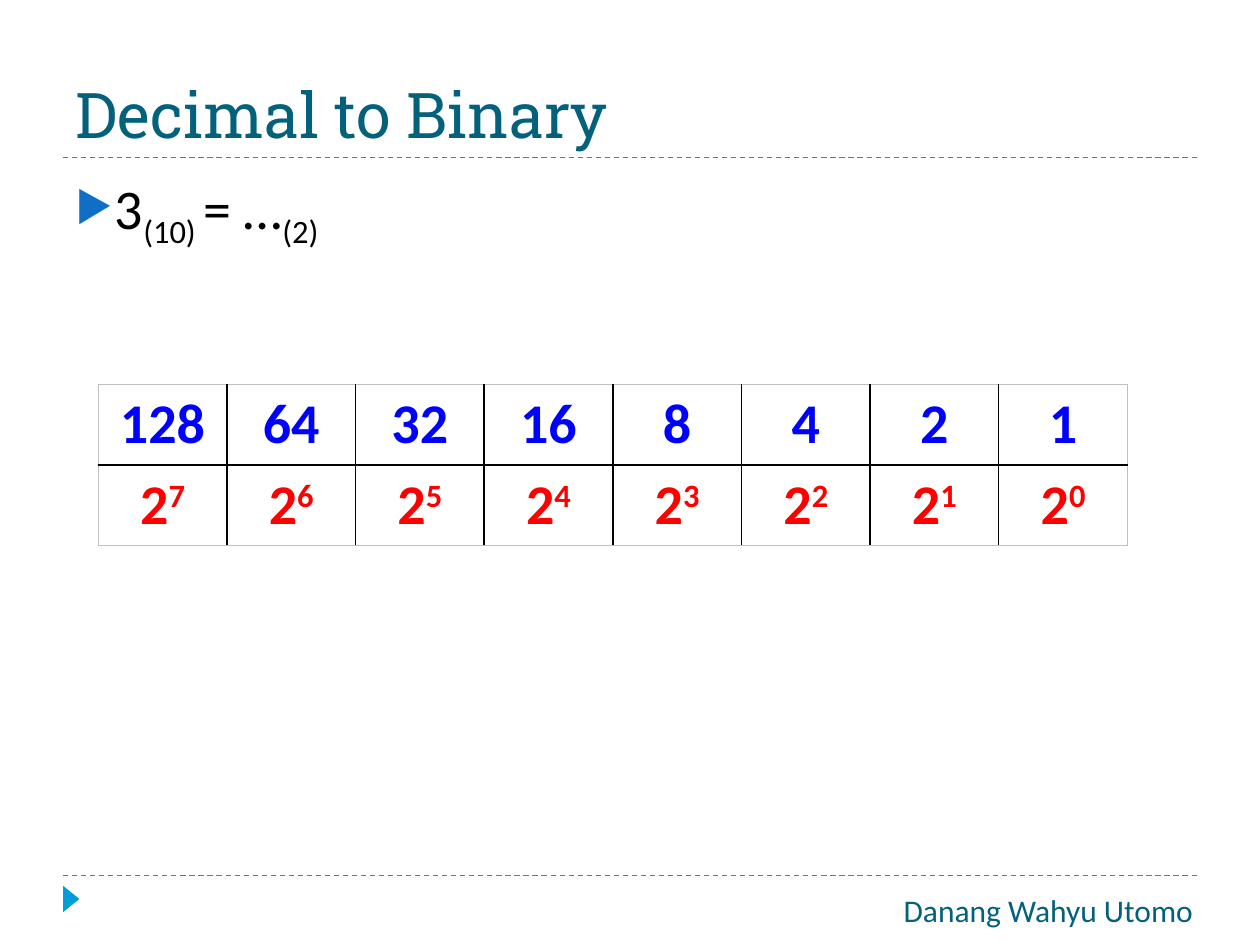
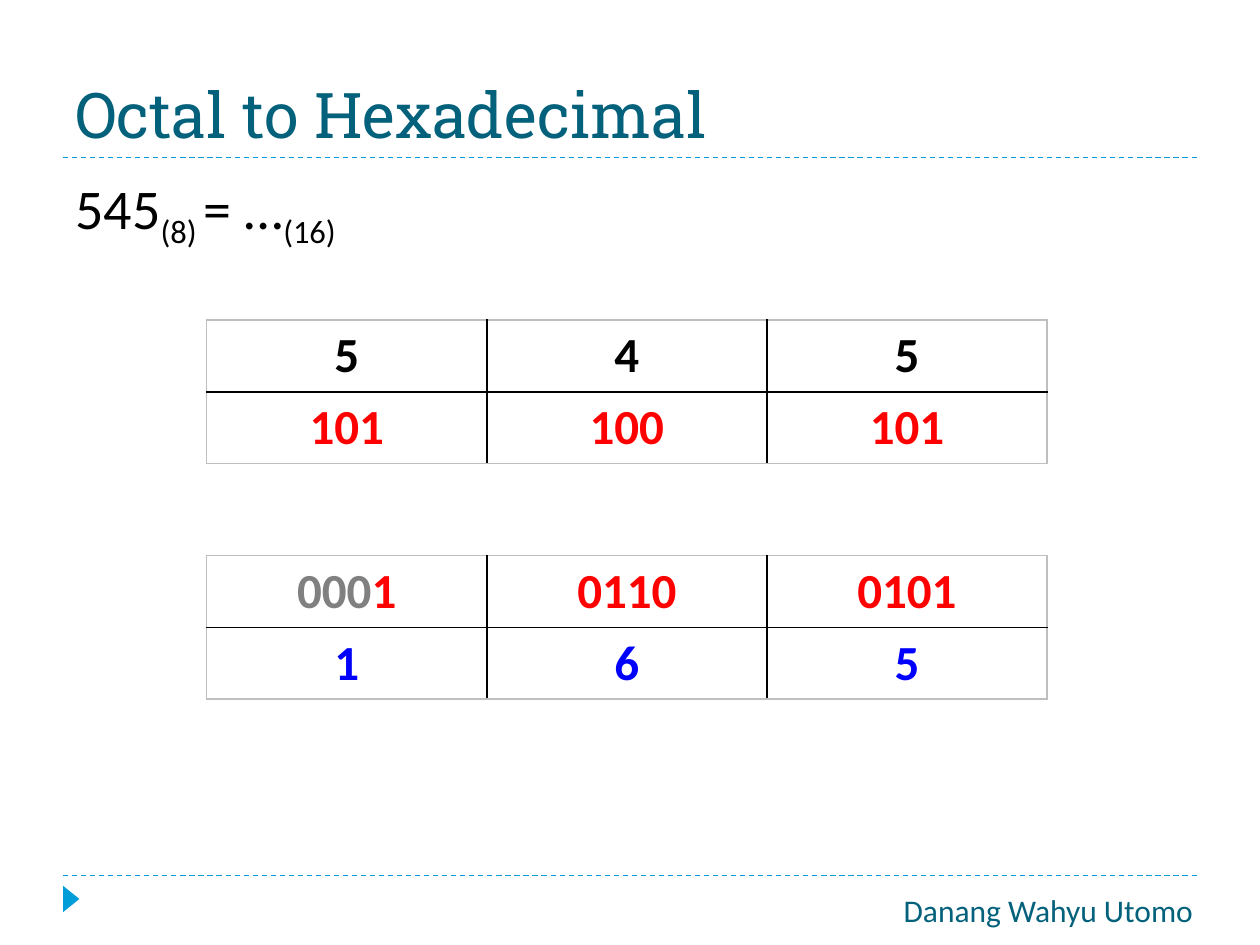
import pptx
import pptx.util
import pptx.dml.color
import pptx.enum.dml
import pptx.enum.shapes
import pptx.enum.text
import pptx.oxml.ns
from lxml import etree

Inches = pptx.util.Inches
Pt = pptx.util.Pt
ALIGN = pptx.enum.text.PP_ALIGN
ANCHOR = pptx.enum.text.MSO_ANCHOR
SHAPE = pptx.enum.shapes.MSO_SHAPE

COLORS = {
    "title": "04617B", "accent": "009DD9", "bullet": "0F6FC6",
    "black": "000000", "blue": "0000FF", "red": "FF0000",
    "gray": "808080", "edge": "BFBFBF", "white": "FFFFFF",
}
BODY, HEAD = "Calibri", "Roboto Slab"
SUB, SUP = -25, 30


def rgb(name):
    return pptx.dml.color.RGBColor.from_string(COLORS[name])


def node(parent, tag, **attrs):
    item = etree.SubElement(parent, pptx.oxml.ns.qn("a:" + tag))
    for key, value in attrs.items():
        item.set(key, str(value))
    return item


class Deck:
    def __init__(self):
        self.prs = pptx.Presentation()
        self.prs.slide_width = Inches(10)
        self.prs.slide_height = Inches(7.5)
        self.slide = None

    # Slide frame: rules, marker, author and title
    def page(self, title):
        self.slide = self.prs.slides.add_slide(self.prs.slide_layouts[6])
        for y in (6.95, 1.25):
            self.rule(y)
        self.marker()
        self.text(6.72, 7.02, 3.2, 0.4, [("Danang Wahyu Utomo", "title")],
                  18, align=ALIGN.CENTER)
        self.text(0.5, 0.17, 9, 1.08, [(title, "title")], 36, font=HEAD,
                  anchor=ANCHOR.BOTTOM)

    def rule(self, y):
        line = self.slide.shapes.add_connector(
            pptx.enum.shapes.MSO_CONNECTOR.STRAIGHT,
            Inches(0.5), Inches(y), Inches(9.5), Inches(y))
        line.line.color.rgb = rgb("accent")
        line.line.width = Pt(0.75)
        line.line.dash_style = pptx.enum.dml.MSO_LINE.DASH
        node(line._element.spPr, "effectLst")

    def marker(self):
        mark = self.slide.shapes.add_shape(
            SHAPE.ISOSCELES_TRIANGLE,
            Inches(0.46), Inches(7.07), Inches(0.21), Inches(0.13))
        mark.rotation = 90
        mark.shadow.inherit = False
        mark.fill.solid()
        mark.fill.fore_color.rgb = rgb("accent")
        mark.line.fill.background()

    # Runs are (text, color) or (text, color, baseline)
    def runs(self, para, parts, size, font=BODY, bold=False):
        for words, color, *shift in parts:
            run = para.add_run()
            run.text = words
            run.font.name = font
            run.font.size = Pt(size)
            run.font.bold = bold
            run.font.color.rgb = rgb(color)
            if shift:
                run._r.get_or_add_rPr().set("baseline", str(shift[0] * 1000))

    def text(self, x, y, w, h, parts, size, font=BODY, align=ALIGN.LEFT,
             anchor=ANCHOR.TOP):
        box = self.slide.shapes.add_textbox(
            Inches(x), Inches(y), Inches(w), Inches(h))
        frame = box.text_frame
        frame.word_wrap = True
        frame.vertical_anchor = anchor
        para = frame.paragraphs[0]
        para.alignment = align
        self.runs(para, parts, size, font)
        return para

    # Conversion question, such as 3(10) = …(2)
    def task(self, value, base, goal, bullet=False):
        parts = [(value, "black"), (f"({base}) ", "black", SUB),
                 ("= …", "black"), (f"({goal})", "black", SUB)]
        para = self.text(0.5, 1.33, 9, 5.4, parts, 32)
        props = para._p.get_or_add_pPr()
        props.set("marL", str(Inches(0.3)))
        props.set("indent", str(Inches(-0.3)))
        if bullet:
            tint = node(props, "buClr")
            node(tint, "srgbClr", val=COLORS["bullet"])
            node(props, "buSzPct", val=76000)
            node(props, "buChar", char="▶")
        else:
            node(props, "buNone")

    # Grid of cells, each a list of runs
    def table(self, x, y, w, h, rows, size):
        high, wide = len(rows), len(rows[0])
        grid = self.slide.shapes.add_table(
            high, wide, Inches(x), Inches(y), Inches(w), Inches(h)).table
        for r, row in enumerate(rows):
            grid.rows[r].height = Inches(h / high)
            for c, parts in enumerate(row):
                grid.columns[c].width = Inches(w / wide)
                cell = grid.cell(r, c)
                para = cell.text_frame.paragraphs[0]
                para.alignment = ALIGN.CENTER
                self.runs(para, parts, size, bold=True)
                self.border(cell, {"lnL": c == 0, "lnR": c == wide - 1,
                                   "lnT": r == 0, "lnB": r == high - 1})
                cell.fill.solid()
                cell.fill.fore_color.rgb = rgb("white")

    def border(self, cell, sides):
        props = cell._tc.get_or_add_tcPr()
        for side, outer in sides.items():
            line = node(props, side, w=Pt(1))
            fill = node(line, "solidFill")
            node(fill, "srgbClr", val=COLORS["edge" if outer else "black"])


def plain(values, color):
    return [[(value, color)] for value in values]


def main():
    deck = Deck()

    # Decimal to binary: place values and powers of two
    deck.page("Decimal to Binary")
    deck.task("3", 10, 2, bullet=True)
    powers = range(7, -1, -1)
    places = plain([str(2 ** n) for n in powers], "blue")
    terms = [[("2", "red"), (str(n), "red", SUP)] for n in powers]
    deck.table(0.78, 3.05, 8.17, 1.28, [places, terms], 32)

    # Octal to hexadecimal: digits to bits, then bits to digits
    deck.page("Octal to Hexadecimal")
    deck.task("545", 8, 16)
    octal = [plain("545", "black"), plain(["101", "100", "101"], "red")]
    padded = [("000", "gray"), ("1", "red")]
    hexa = [[padded] + plain(["0110", "0101"], "red"), plain("165", "blue")]
    for y, rows in ((2.54, octal), (4.41, hexa)):
        deck.table(1.64, y, 6.67, 1.14, rows, 28)

    deck.prs.save("out.pptx")


if __name__ == "__main__":
    main()
